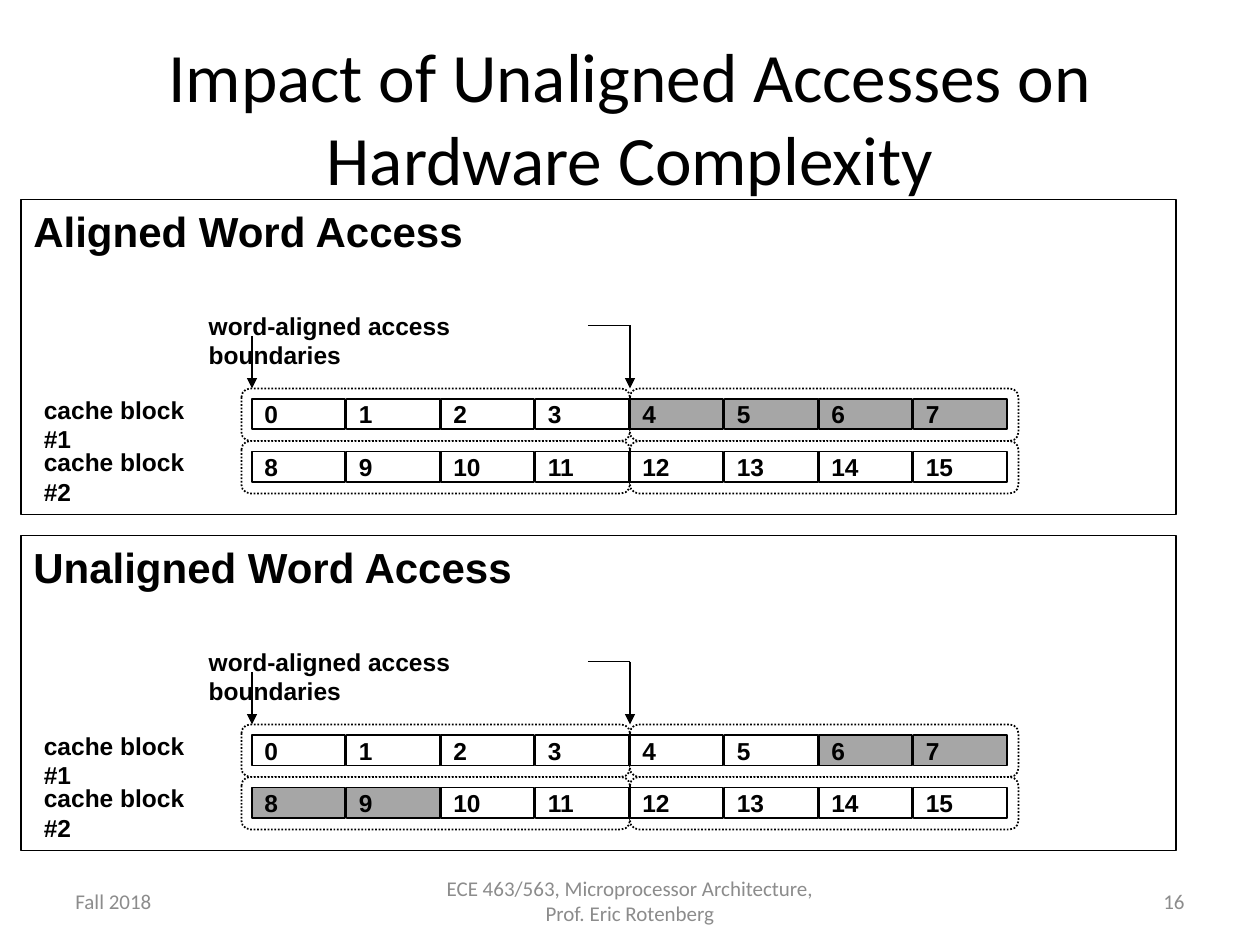
from dataclasses import dataclass

from lxml import etree
from pptx import Presentation
from pptx.dml.color import RGBColor
from pptx.enum.dml import MSO_LINE
from pptx.enum.shapes import MSO_CONNECTOR, MSO_SHAPE
from pptx.enum.text import MSO_ANCHOR, MSO_AUTO_SIZE, PP_ALIGN
from pptx.oxml.ns import qn
from pptx.util import Inches, Pt

RECT, ROUNDED = MSO_SHAPE.RECTANGLE, MSO_SHAPE.ROUNDED_RECTANGLE
STRAIGHT, DOTTED = MSO_CONNECTOR.STRAIGHT, MSO_LINE.ROUND_DOT
TOP, MIDDLE = MSO_ANCHOR.TOP, MSO_ANCHOR.MIDDLE
LEFT, CENTER, RIGHT = PP_ALIGN.LEFT, PP_ALIGN.CENTER, PP_ALIGN.RIGHT
NO_FIT = MSO_AUTO_SIZE.NONE
COLS, ROWS = 120, 90


@dataclass(frozen=True)
class Theme:
    ink: str = "000000"
    paper: str = "FFFFFF"
    accessed: str = "A6A6A6"
    muted: str = "8C8C8C"
    heading_font: str = "Calibri"
    body_font: str = "Arial"
    title: float = 39.6
    panel: float = 24
    label: float = 14
    footer: float = 12
    line: float = 1


class Deck:
    def __init__(self, theme):
        self.theme = theme
        self.prs = Presentation()
        self.prs.slide_width, self.prs.slide_height = Inches(10), Inches(7.5)
        self.slide = self.prs.slides.add_slide(self.prs.slide_layouts[5])

    def x(self, cols):
        return round(self.prs.slide_width * cols / COLS)

    def y(self, rows):
        return round(self.prs.slide_height * rows / ROWS)

    def box(self, left, top, width, height):
        return self.x(left), self.y(top), self.x(width), self.y(height)

    def add_text(self, sp, text, size, font, color, bold=False, align=LEFT, anchor=TOP):
        tf = sp.text_frame
        tf.word_wrap, tf.auto_size = True, NO_FIT
        tf.vertical_anchor = anchor
        p = tf.paragraphs[0]
        p.alignment = align
        r = p.add_run()
        r.text = text
        r.font.size, r.font.name, r.font.bold = Pt(size), font, bold
        r.font.color.rgb = RGBColor.from_string(color)

    def title(self, text, *area):
        sp = self.slide.shapes.title
        sp.left, sp.top, sp.width, sp.height = self.box(*area)
        t = self.theme
        self.add_text(sp, text, t.title, t.heading_font, t.ink, align=CENTER, anchor=MIDDLE)

    def footer(self, text, align, left, width):
        sp = self.slide.shapes.add_textbox(*self.box(left, 83.4, width, 4.8))
        t = self.theme
        self.add_text(sp, text, t.footer, t.heading_font, t.muted, align=align, anchor=MIDDLE)

    def label(self, text, *area):
        sp = self.slide.shapes.add_textbox(*self.box(*area))
        t = self.theme
        self.add_text(sp, text, t.label, t.body_font, t.ink, bold=True)
        sp.text_frame.margin_right = Inches(0.15)

    def shape(self, kind, area, fill):
        sp = self.slide.shapes.add_shape(kind, *self.box(*area))
        sp.shadow.inherit = False
        sp.fill.solid()
        sp.fill.fore_color.rgb = RGBColor.from_string(fill)
        self.stroke(sp.line)
        return sp

    def stroke(self, line):
        line.color.rgb = RGBColor.from_string(self.theme.ink)
        line.width = Pt(self.theme.line)

    def panel(self, text, *area):
        t = self.theme
        sp = self.shape(RECT, area, t.paper)
        self.add_text(sp, text, t.panel, t.body_font, t.ink, bold=True)

    def word_outline(self, *area):
        sp = self.shape(ROUNDED, area, self.theme.paper)
        sp.adjustments[0] = 0.167
        sp.line.dash_style = DOTTED

    def cell(self, number, accessed, *area):
        t = self.theme
        sp = self.shape(RECT, area, t.accessed if accessed else t.paper)
        self.add_text(sp, str(number), t.label, t.body_font, t.ink, bold=True, anchor=MIDDLE)

    def line(self, x1, y1, x2, y2, arrow=False):
        cx = self.slide.shapes.add_connector(
            STRAIGHT, self.x(x1), self.y(y1), self.x(x2), self.y(y2))
        self.stroke(cx.line)
        props = cx._element.spPr
        if arrow:
            etree.SubElement(props.find(qn("a:ln")), qn("a:tailEnd"), type="triangle")
        etree.SubElement(props, qn("a:effectLst"))

    def access_panel(self, heading, top, accessed):
        self.panel(heading, 2, top, 110, 30)
        blocks = top + 18
        for block in range(2):
            row = blocks + 5 * block
            for left in (23, 60):
                self.word_outline(left, row, 37, 5)
            self.label(f"cache block #{block + 1}", 3, row, 19, 4)
            for col in range(8):
                number = 8 * block + col
                self.cell(number, number in accessed, 24 + 9 * col, row + 1, 8.9, 2.9)
        self.line(24, top + 13, 24, blocks, arrow=True)
        self.line(60, top + 12, 60, blocks, arrow=True)
        self.line(56, top + 12, 60, top + 12)
        self.label("word-aligned access boundaries", 18.7, top + 10, 38.4, 4)


def main():
    deck = Deck(Theme())
    deck.title("Impact of Unaligned Accesses on Hardware Complexity", 6, 3.6, 108, 15)
    deck.access_panel("Aligned Word Access", 19, range(4, 8))
    deck.access_panel("Unaligned Word Access", 51, range(6, 10))
    deck.footer("Fall 2018", LEFT, 6, 28)
    deck.footer("ECE 463/563, Microprocessor Architecture, Prof. Eric Rotenberg", CENTER, 41, 38)
    deck.footer("16", RIGHT, 86, 28)
    deck.prs.save("out.pptx")


if __name__ == "__main__":
    main()
